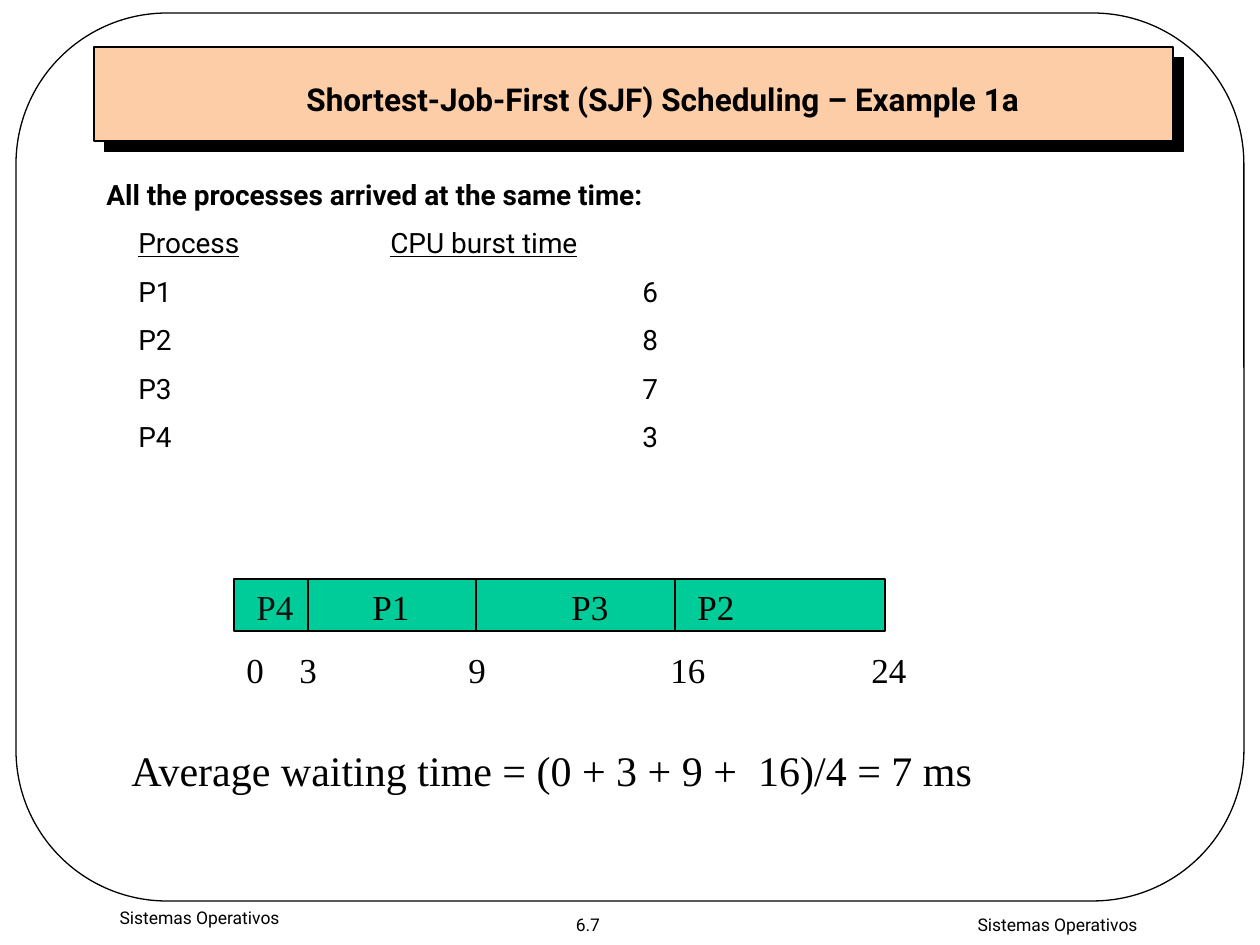
import pptx
import pptx.dml.color
import pptx.enum.shapes
import pptx.enum.text
import pptx.oxml
import pptx.oxml.ns
import pptx.util
import lxml.etree

THEME = {
    "ink": "000000", "soft_ink": "111111", "banner": "FCCDA6", "bar": "00CC99",
    "sans": "Roboto", "serif": "Times New Roman", "line": 0.75,
    "small": 10, "body": 16, "title": 18, "chart": 20, "result": 24,
}
PIXEL = 914400 // 126
SHAPES = pptx.enum.shapes.MSO_SHAPE
CENTER = pptx.enum.text.PP_ALIGN.CENTER


class SlideBuilder:
    """Draws styled elements on one slide, with lengths in pixels."""

    def __init__(self, slide, theme):
        self.shapes = slide.shapes
        self.theme = theme

    def color(self, name):
        """Return the theme colour with this name."""
        return pptx.dml.color.RGBColor.from_string(self.theme[name])

    def scale(self, lengths):
        """Turn pixels into EMU."""
        return [pptx.util.Emu(length * PIXEL) for length in lengths]

    def outline(self, line):
        """Give a line the theme's ink and width."""
        line.color.rgb = self.color("ink")
        line.width = pptx.util.Pt(self.theme["line"])

    def shape(self, kind, place, fill=None):
        """Add an outlined shape, hollow unless a fill is named."""
        shape = self.shapes.add_shape(kind, *self.scale(place))
        shape.shadow.inherit = False
        self.outline(shape.line)
        if fill:
            shape.fill.solid()
            shape.fill.fore_color.rgb = self.color(fill)
        else:
            shape.fill.background()
        return shape

    def hard_shadow(self, shape, points):
        """Cast a solid diagonal shadow from a shape."""
        effects = shape._element.spPr.find(pptx.oxml.ns.qn("a:effectLst"))
        shadow = lxml.etree.SubElement(effects, pptx.oxml.ns.qn("a:outerShdw"))
        values = {"blurRad": 0, "dist": pptx.util.Pt(points), "dir": 45 * 60000,
                  "algn": "ctr", "rotWithShape": 0}
        for name, value in values.items():
            shadow.set(name, str(int(value)) if name != "algn" else value)
        ink = lxml.etree.SubElement(shadow, pptx.oxml.ns.qn("a:srgbClr"))
        ink.set("val", self.theme["ink"])

    def line(self, *ends):
        """Add a straight line."""
        straight = pptx.enum.shapes.MSO_CONNECTOR.STRAIGHT
        line = self.shapes.add_connector(straight, *self.scale(ends))
        self.outline(line.line)
        lxml.etree.SubElement(line._element.spPr, pptx.oxml.ns.qn("a:effectLst"))

    def tabs(self, para, stops):
        """Set left tab stops on a paragraph."""
        properties = para._p.get_or_add_pPr()
        tab_list = lxml.etree.SubElement(properties, pptx.oxml.ns.qn("a:tabLst"))
        for stop in self.scale(stops):
            tab = lxml.etree.SubElement(tab_list, pptx.oxml.ns.qn("a:tab"))
            tab.set("pos", str(int(stop)))
            tab.set("algn", "l")

    def text(self, place, paragraphs, size, font="serif", color="ink",
             align=None, stops=(), gap=0):
        """Add a text box whose paragraphs are lists of (text, format) spans."""
        box = self.shapes.add_textbox(*self.scale(place))
        frame = box.text_frame
        frame.word_wrap = True
        for index, spans in enumerate(paragraphs):
            para = frame.add_paragraph() if index else frame.paragraphs[0]
            para.alignment = align
            if index and gap:
                para.space_before = pptx.util.Pt(gap)
            if stops:
                self.tabs(para, stops)
            for words, extra in spans:
                span = para.add_run()
                span.text = words
                values = {"name": self.theme[font],
                          "size": pptx.util.Pt(self.theme[size]), **extra}
                for name, value in values.items():
                    setattr(span.font, name, value)
                span.font.color.rgb = self.color(color)


def plain(words, **extra):
    """Return one paragraph holding a single span."""
    return [(words, extra)]


deck = pptx.Presentation()
deck.slide_width, deck.slide_height = pptx.util.Inches(10), pptx.util.Inches(7.5)
page = SlideBuilder(deck.slides.add_slide(deck.slide_layouts[6]), THEME)

banner = page.shape(SHAPES.RECTANGLE, (94, 47, 1079, 94), "banner")
page.hard_shadow(banner, 8.5)
border = page.shape(SHAPES.ROUNDED_RECTANGLE, (16, 13, 1228, 888))
border.adjustments[0] = 0.17

footers = [("Sistemas Operativos", (0, 901, 399, 44)), ("6.7", (538, 908, 100, 34)),
           ("Sistemas Operativos", (858, 908, 399, 36))]
for words, place in footers:
    page.text(place, [plain(words)], "small", "sans", align=CENTER)

page.text((260, 74, 806, 50),
          [plain("Shortest-Job-First (SJF) Scheduling – Example 1a", bold=True)],
          "title", "sans", align=CENTER)

bursts = {"P1": 6, "P2": 8, "P3": 7, "P4": 3}
heading = plain("All the processes arrived at the same time:", bold=True)
columns = [("\t", {}), ("Process", {"underline": True}),
           ("\t", {}), ("CPU burst time", {"underline": True})]
rows = [plain(f"\t{process}\t\t{burst}") for process, burst in bursts.items()]
page.text((94, 171, 1071, 688), [heading, columns, *rows], "body", "sans",
          stops=(32, 284, 536), gap=8.5)

page.shape(SHAPES.RECTANGLE, (234, 579, 651, 52), "bar")
for x in (308, 476, 675):
    page.line(x, 579, x, 631)
jobs = [("P4", 244, "soft_ink"), ("P1", 360, "ink"),
        ("P3", 559, "ink"), ("P2", 685, "ink")]
for process, left, color in jobs:
    page.text((left, 579, 95, 54), [plain(process)], "chart", color=color)
page.text((234, 642, 819, 54), [plain("0\t3\t9\t16\t24")], "chart",
          stops=(53, 222, 424, 625))

page.text((119, 738, 1018, 63),
          [plain("Average waiting time = (0 + 3 + 9 +  16)/4 = 7 ms")], "result")

deck.save("out.pptx")
